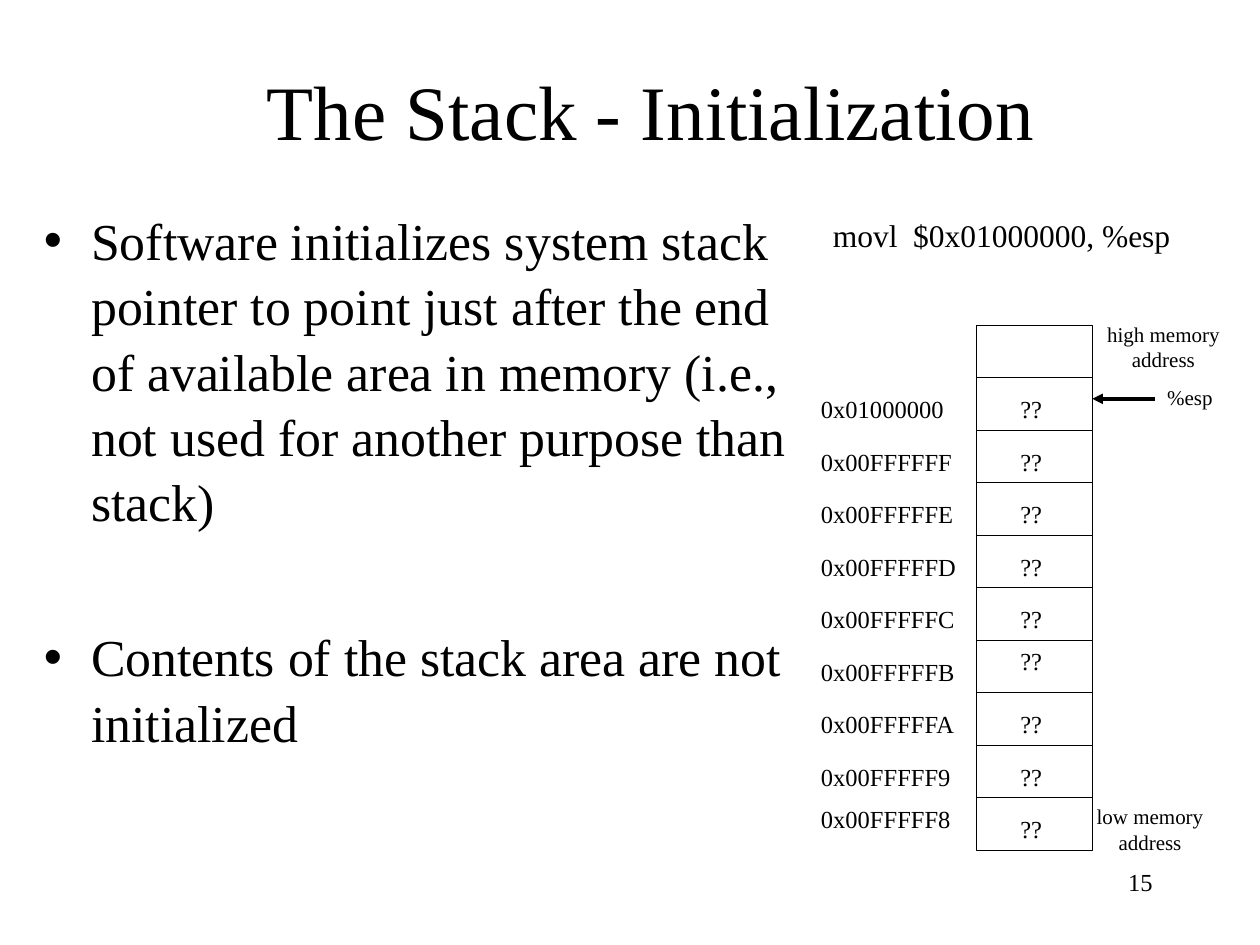
import pptx
import pptx.dml.color
import pptx.enum.shapes
import pptx.enum.text
import pptx.oxml.ns
import pptx.util
from lxml import etree
from pptx.util import Cm, Pt

COLORS = {"ink": "000000"}
FONT = "Times New Roman"
INK = pptx.dml.color.RGBColor.from_string(COLORS["ink"])
ALIGN = pptx.enum.text.PP_ALIGN


def write(shape, lines, size, align=ALIGN.LEFT, **spacing):
    """Fill a shape with one paragraph per line."""
    frame = shape.text_frame
    frame.word_wrap = True
    frame.auto_size = pptx.enum.text.MSO_AUTO_SIZE.NONE
    for index, line in enumerate(lines):
        para = frame.paragraphs[0] if index == 0 else frame.add_paragraph()
        for name, value in {"alignment": align, **spacing}.items():
            setattr(para, name, value)
        span = para.add_run()
        span.text = line
        for name, value in {"size": Pt(size), "name": FONT}.items():
            setattr(span.font, name, value)
        span.font.color.rgb = INK


def add_label(left, top, width, height, lines, size, align=ALIGN.LEFT):
    box = page.shapes.add_textbox(Cm(left), Cm(top), Cm(width), Cm(height))
    write(box, lines, size, align)


deck = pptx.Presentation()
deck.slide_width, deck.slide_height = Cm(25.4), Cm(19.05)
page = deck.slides.add_slide(deck.slide_layouts[1])

# Title and bullet list
title, body = page.placeholders
places = [
    (title, {"left": 2.33, "top": 0.63, "width": 21.59, "height": 3.18}),
    (body, {"left": 0.63, "top": 4.02, "width": 16.09, "height": 11.43}),
]
for holder, place in places:
    for name, value in place.items():
        setattr(holder, name, Cm(value))
write(title, ["The Stack - Initialization"], 44, ALIGN.CENTER)
write(body, [
    "Software initializes system stack pointer to point just after the end of "
    "available area in memory (i.e., not used for another purpose than stack)",
    "Contents of the stack area are not initialized",
], 29.6, space_before=Pt(8), line_spacing=1.05)
body.text_frame.paragraphs[1].space_before = Pt(51.5)

# Instruction
add_label(16.54, 4.23, 7.6, 1.02, ["movl  $0x01000000, %esp"], 18)

# Memory cells with addresses and values
cell_left, cell_width = 19.69, 2.33
stack_top, stack_height = 6.56, 10.58
addresses = [
    "", "0x01000000", "0x00FFFFFF", "0x00FFFFFE", "0x00FFFFFD", "0x00FFFFFC",
    "0x00FFFFFB", "0x00FFFFFA", "0x00FFFFF9", "0x00FFFFF8",
]
cell_height = stack_height / len(addresses)
label_drop = 0.21
raised_value, raised_address = "0x00FFFFFB", "0x00FFFFF8"
for row, address in enumerate(addresses):
    top = stack_top + row * cell_height
    cell = page.shapes.add_shape(
        pptx.enum.shapes.MSO_SHAPE.RECTANGLE,
        Cm(cell_left), Cm(top), Cm(cell_width), Cm(cell_height))
    cell.shadow.inherit = False
    cell.fill.background()
    cell.line.color.rgb = INK
    cell.line.width = Pt(0.75)
    if address:
        address_top = top + label_drop * (address != raised_address)
        value_top = top + label_drop * (address != raised_value)
        add_label(16.3, address_top, 3.35, 0.86, [address], 14)
        add_label(20.32, value_top, 1.1, 0.86, ["??"], 14)

# Ends of memory
add_label(22.02, 6.35, 2.87, 1.27, ["high memory", "address"], 12, ALIGN.CENTER)
add_label(21.75, 16.08, 2.87, 1.27, ["low memory", "address"], 12, ALIGN.CENTER)

# Stack pointer
add_label(23.28, 7.62, 1.6, 0.76, ["%esp"], 12)
arrow = page.shapes.add_connector(
    pptx.enum.shapes.MSO_CONNECTOR.STRAIGHT,
    Cm(23.28), Cm(8.04), Cm(cell_left + cell_width), Cm(8.04))
arrow.line.color.rgb = INK
arrow.line.width = Pt(2)
qn = pptx.oxml.ns.qn
line_element = arrow._element.spPr.find(qn("a:ln"))
etree.SubElement(line_element, qn("a:tailEnd"), type="triangle")
etree.SubElement(arrow._element.spPr, qn("a:effectLst"))

# Page number
add_label(18.21, 17.35, 5.28, 1.27, ["15"], 14, ALIGN.RIGHT)

deck.save("out.pptx")
